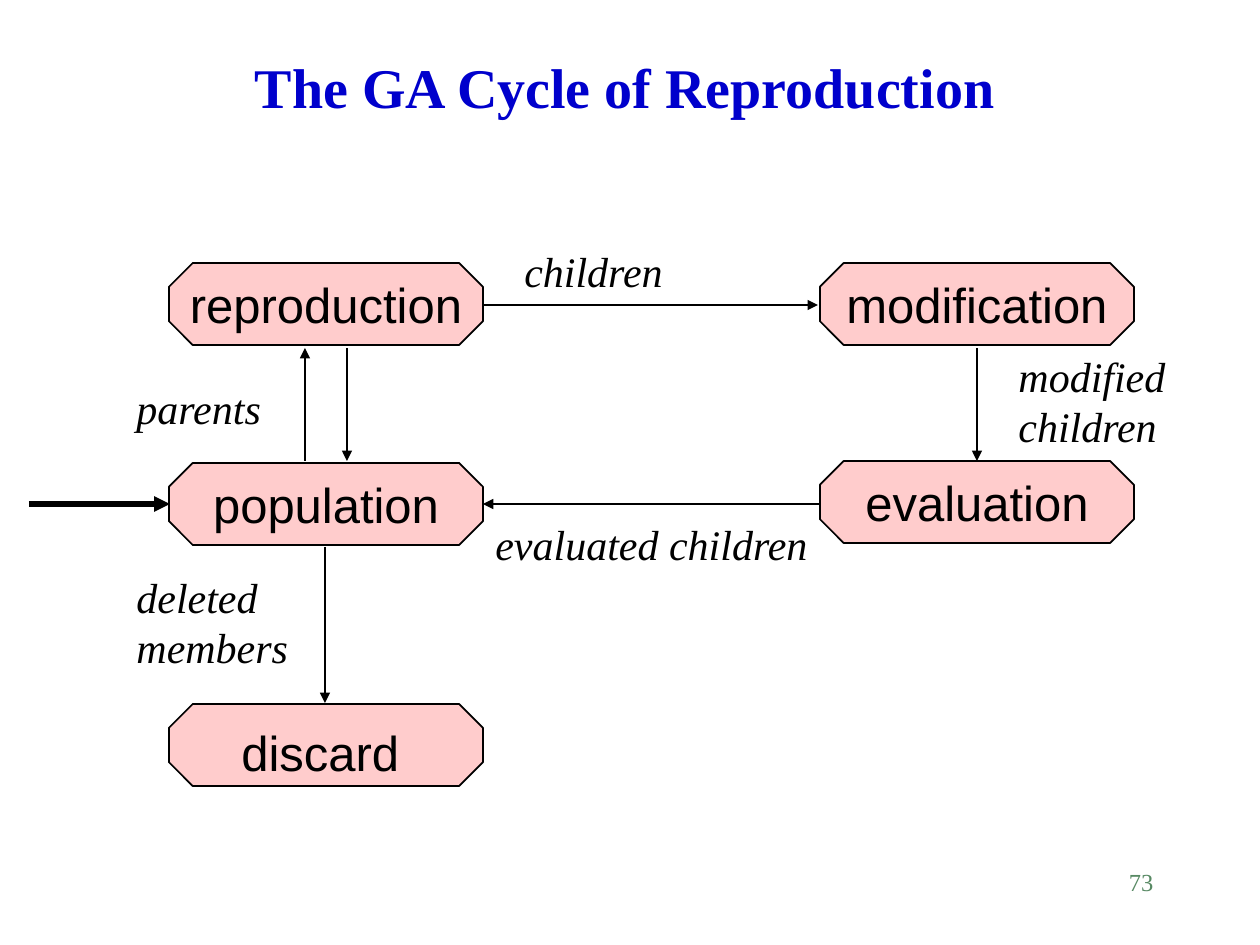
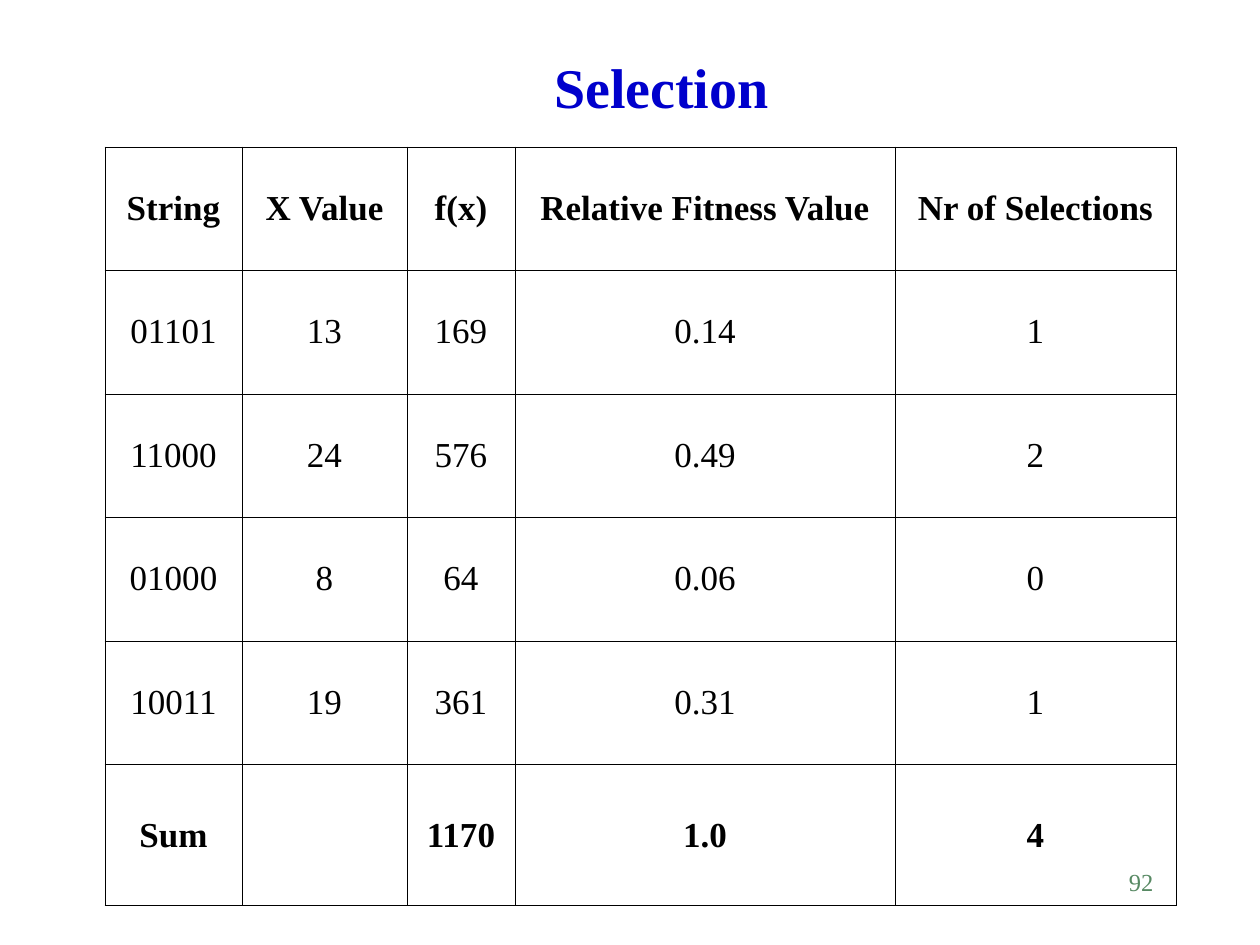
"""Builds two slides on genetic algorithms: the reproduction cycle and selection."""
from dataclasses import dataclass

from lxml.etree import SubElement
from pptx import Presentation
from pptx.dml.color import RGBColor
from pptx.enum.shapes import MSO_CONNECTOR, MSO_SHAPE
from pptx.enum.text import MSO_ANCHOR, MSO_AUTO_SIZE, PP_ALIGN
from pptx.oxml.ns import qn
from pptx.util import Emu, Pt

PX_PER_INCH = 126


@dataclass(frozen=True)
class Theme:
    """Colours, fonts and type sizes of the deck."""
    title_color: str = "0000CC"
    number_color: str = "578963"
    ink: str = "000000"
    node_fill: str = "FFCCCC"
    serif: str = "Times New Roman"
    sans: str = "Arial"
    title_size: int = 32
    node_size: int = 28
    label_size: int = 24
    table_size: int = 20
    number_size: int = 14
    line_width: float = 1
    entry_width: float = 3
    border_width: float = 0.45


def px(length):
    """Turn whole px into EMU."""
    return Emu(round(length * 914400 / PX_PER_INCH))


def write_text(frame, text, *, size, color, font, bold=False, italic=False,
               align=PP_ALIGN.LEFT, anchor=MSO_ANCHOR.TOP, wrap=True):
    """Fill a text frame, one paragraph a line, in one format."""
    frame.word_wrap = wrap
    frame.auto_size = MSO_AUTO_SIZE.NONE
    frame.vertical_anchor = anchor
    for index, line in enumerate(text.split("\n")):
        para = frame.add_paragraph() if index else frame.paragraphs[0]
        para.alignment = align
        span = para.add_run()
        span.text = line
        span.font.size = Pt(size)
        span.font.name = font
        span.font.bold = bold
        span.font.italic = italic
        span.font.color.rgb = RGBColor.from_string(color)


class SlideBuilder:
    """Holds the theme and the current slide, and draws its elements."""

    def __init__(self, deck, theme):
        """Keep the deck and the theme."""
        self.deck = deck
        self.theme = theme
        self.page = None

    def start(self, title, title_area, number):
        """Add a page with its title and page number."""
        theme = self.theme
        self.page = self.deck.slides.add_slide(self.deck.slide_layouts[5])
        box = self.page.shapes.title
        box.left, box.top, box.width, box.height = map(px, title_area)
        write_text(box.text_frame, title, size=theme.title_size,
                   color=theme.title_color, font=theme.serif, bold=True,
                   align=PP_ALIGN.CENTER, anchor=MSO_ANCHOR.BOTTOM)
        self.text((904, 861, 262, 63), number, size=theme.number_size,
                  color=theme.number_color, font=theme.serif,
                  align=PP_ALIGN.RIGHT)

    def text(self, area, text, **style):
        """Add a text box."""
        box = self.page.shapes.add_textbox(*map(px, area))
        write_text(box.text_frame, text, **style)

    def label(self, area, text, **style):
        """Add a text box, in label style unless told otherwise."""
        theme = self.theme
        look = dict(size=theme.label_size, color=theme.ink, font=theme.serif,
                    italic=True)
        self.text(area, text, **(look | style))

    def node(self, left, top, text=""):
        """Add an octagon of the cycle."""
        theme = self.theme
        box = self.page.shapes.add_shape(
            MSO_SHAPE.OCTAGON, px(left), px(top), px(314), px(82))
        box.adjustments[0] = 0.29
        box.shadow.inherit = False
        box.fill.solid()
        box.fill.fore_color.rgb = RGBColor.from_string(theme.node_fill)
        box.line.color.rgb = RGBColor.from_string(theme.ink)
        box.line.width = Pt(theme.line_width)
        if text:
            write_text(box.text_frame, text, size=theme.node_size,
                       color=theme.ink, font=theme.sans, wrap=False,
                       align=PP_ALIGN.CENTER, anchor=MSO_ANCHOR.MIDDLE)

    def arrow(self, start, end, width=None):
        """Add a straight arrow that points at its end."""
        line = self.page.shapes.add_connector(
            MSO_CONNECTOR.STRAIGHT, *map(px, start + end))
        line.line.color.rgb = RGBColor.from_string(self.theme.ink)
        line.line.width = Pt(width or self.theme.line_width)
        SubElement(line.line._get_or_add_ln(), qn("a:tailEnd"), type="triangle")
        SubElement(line._element.spPr, qn("a:effectLst"))

    def table(self, left, top, widths, heights, rows, bold_rows):
        """Add a ruled table without fill."""
        theme = self.theme
        grid = self.page.shapes.add_table(
            len(rows), len(widths), px(left), px(top),
            px(sum(widths)), px(sum(heights))).table
        grid.first_row = grid.horz_banding = False
        for column, width in zip(grid.columns, widths):
            column.width = px(width)
        for index, (row, height, values) in enumerate(
                zip(grid.rows, heights, rows)):
            row.height = px(height)
            for cell, value in zip(row.cells, values):
                write_text(cell.text_frame, value, size=theme.table_size,
                           color=theme.ink, font=theme.serif,
                           bold=index in bold_rows, align=PP_ALIGN.CENTER)
                cell.vertical_anchor = MSO_ANCHOR.MIDDLE
                self.rule(cell)
                cell.fill.background()

    def rule(self, cell):
        """Draw the four borders of a cell."""
        properties = cell._tc.get_or_add_tcPr()
        for side in ("lnL", "lnR", "lnT", "lnB"):
            border = SubElement(properties, qn(f"a:{side}"),
                                w=str(Pt(self.theme.border_width)))
            fill = SubElement(border, qn("a:solidFill"))
            SubElement(fill, qn("a:srgbClr"), val=self.theme.ink)


def build_cycle(slide):
    """Draw the cycle of reproduction."""
    theme = slide.theme
    slide.start("The GA Cycle of Reproduction", (53, 32, 1144, 94), "73")
    left, right = 169, 820
    for node in ((left, 263, "reproduction"), (left, 463, "population"),
                 (right, 461, "evaluation"), (right, 263, "modification"),
                 (left, 704)):
        slide.node(*node)
    slide.label((229, 716, 200, 71), "discard", size=theme.node_size,
                font=theme.sans, italic=False)
    for start, end in (((484, 305), (818, 305)), ((305, 461), (305, 348)),
                       ((347, 348), (347, 461)), ((325, 547), (325, 703)),
                       ((820, 504), (483, 504)), ((977, 348), (977, 461))):
        slide.arrow(start, end)
    slide.arrow((29, 504), (170, 504), theme.entry_width)
    for area, text in (((124, 565, 195, 113), "deleted\nmembers"),
                       ((124, 376, 170, 63), "parents"),
                       ((512, 239, 190, 63), "children"),
                       ((1006, 344, 195, 113), "modified\nchildren"),
                       ((483, 512, 350, 63), "evaluated children")):
        slide.label(area, text)


def build_selection(slide):
    """Draw the selection table."""
    slide.start("Selection", (126, 42, 1071, 84), "92")
    rows = (
        ("String", "X Value", "f(x)", "Relative Fitness Value",
         "Nr of Selections"),
        ("01101", "13", "169", "0.14", "1"),
        ("11000", "24", "576", "0.49", "2"),
        ("01000", "8", "64", "0.06", "0"),
        ("10011", "19", "361", "0.31", "1"),
        ("Sum", "", "1170", "1.0", "4"),
    )
    slide.table(105, 147, (137, 165, 108, 380, 281),
                (123, 124, 123, 124, 124, 141), rows,
                bold_rows=(0, len(rows) - 1))


def main():
    """Build and save the deck."""
    deck = Presentation()
    deck.slide_width, deck.slide_height = px(1260), px(945)
    slide = SlideBuilder(deck, Theme())
    build_cycle(slide)
    build_selection(slide)
    deck.save("out.pptx")


if __name__ == "__main__":
    main()
